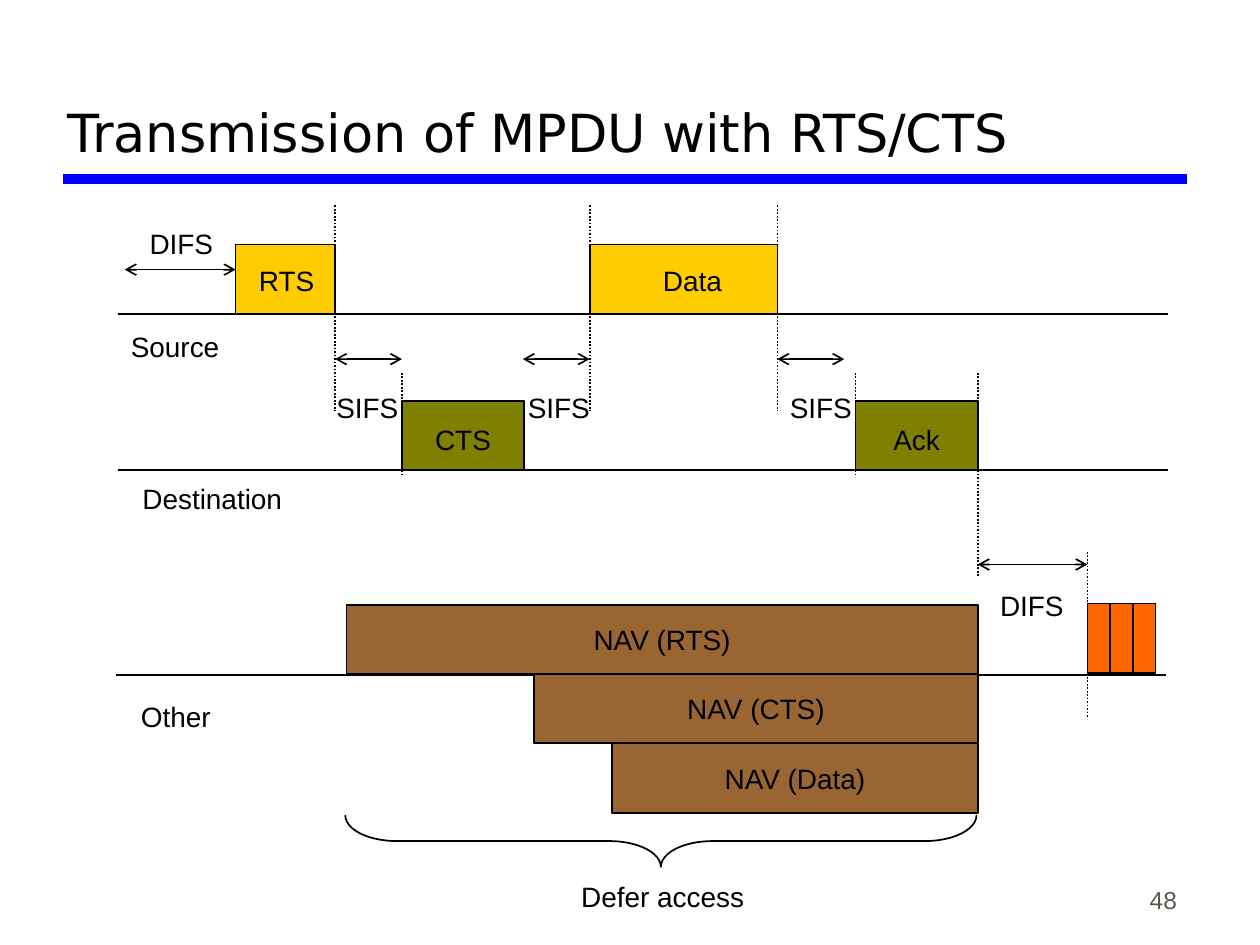
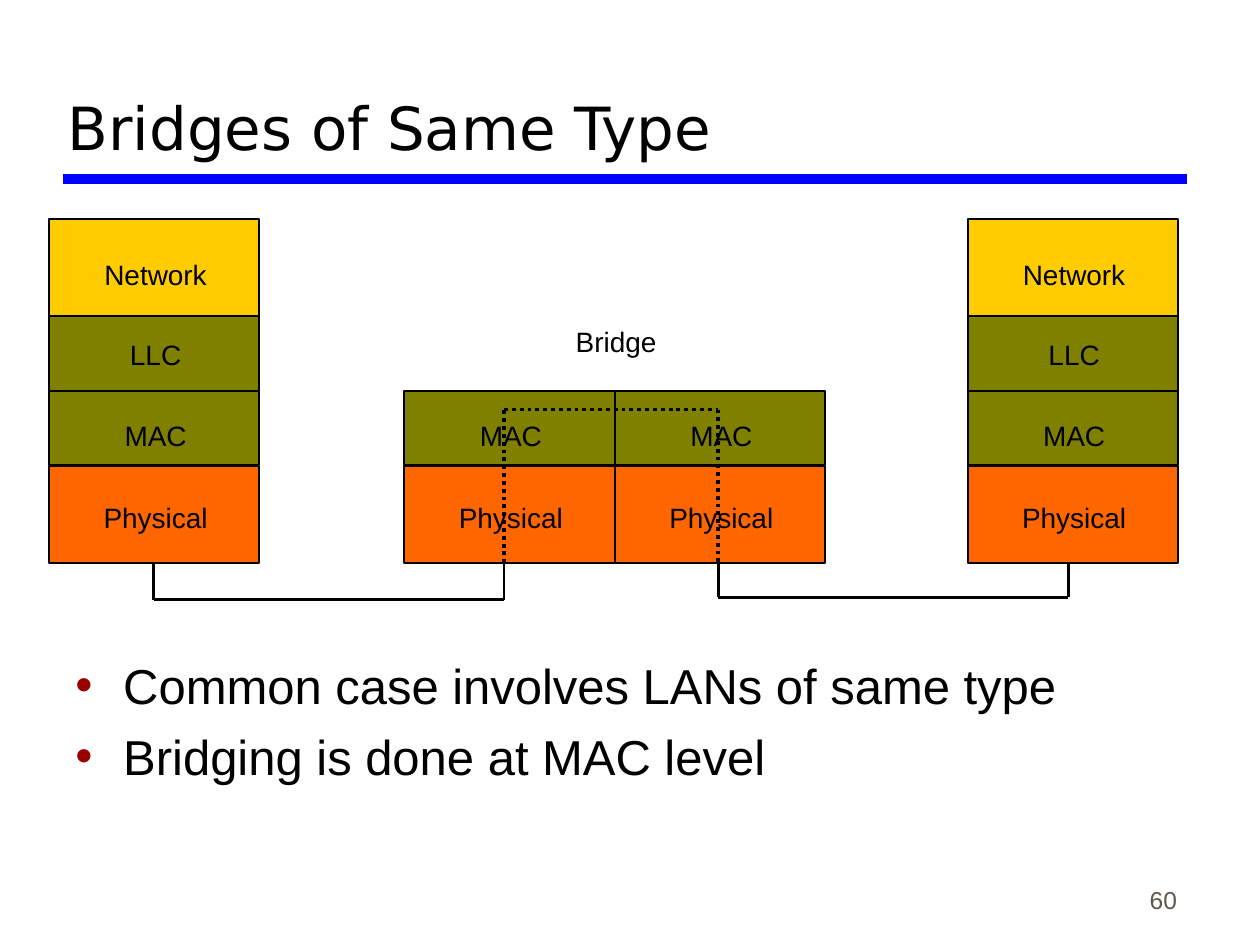
from itertools import pairwise

from lxml import etree
from pptx import Presentation
from pptx.dml.color import RGBColor
from pptx.enum.dml import MSO_LINE
from pptx.enum.shapes import MSO_CONNECTOR, MSO_SHAPE
from pptx.enum.text import MSO_ANCHOR, PP_ALIGN
from pptx.oxml.ns import qn
from pptx.util import Inches, Pt

COLORS = {
    "black": "000000",
    "rule": "0000FF",
    "number": "5E574E",
    "bullet": "990000",
    "yellow": "FFCC00",
    "olive": "808000",
    "orange": "FF6600",
    "brown": "996633",
}
COLORS = {name: RGBColor.from_string(value) for name, value in COLORS.items()}
BODY_FONT, TITLE_FONT = "Arial", "DejaVu Sans"
STRAIGHT = MSO_CONNECTOR.STRAIGHT
RECTANGLE, LEFT_BRACE = MSO_SHAPE.RECTANGLE, MSO_SHAPE.LEFT_BRACE
DOTTED = MSO_LINE.ROUND_DOT
TOP, MIDDLE, BOTTOM = MSO_ANCHOR.TOP, MSO_ANCHOR.MIDDLE, MSO_ANCHOR.BOTTOM
CENTER, RIGHT = PP_ALIGN.CENTER, PP_ALIGN.RIGHT


def add_box(slide, left, top, width, height, text="", fill=None, border=1, drop=0, shift=0):
    """Add a centred label, framed if it has a fill; drop and shift move its text."""
    place = [Inches(length) for length in (left, top, width, height)]
    if fill:
        box = slide.shapes.add_shape(RECTANGLE, *place)
        box.shadow.inherit = False
        box.fill.solid()
        box.fill.fore_color.rgb = COLORS[fill]
        box.line.color.rgb = COLORS["black"]
        box.line.width = Pt(border)
    else:
        box = slide.shapes.add_textbox(*place)
    frame = box.text_frame
    frame.margin_left, frame.margin_top = Inches(2 * shift), Inches(2 * drop)
    frame.margin_right = frame.margin_bottom = 0
    frame.word_wrap = False
    frame.vertical_anchor = MIDDLE
    if text:
        label = frame.paragraphs[0]
        label.text = text
        label.alignment = CENTER
        label.font.name, label.font.size = BODY_FONT, Pt(16)
        label.font.color.rgb = COLORS["black"]


def add_line(slide, start, end, width=1, color="black", dash=None, arrows=False):
    line = slide.shapes.add_connector(STRAIGHT, *[Inches(n) for n in (*start, *end)])
    line.line.color.rgb = COLORS[color]
    line.line.width = Pt(width)
    if dash:
        line.line.dash_style = dash
    properties = line.element.spPr
    if arrows:
        for tip in ("a:headEnd", "a:tailEnd"):
            etree.SubElement(properties.find(qn("a:ln")), qn(tip), type="arrow")
    etree.SubElement(properties, qn("a:effectLst"))


deck = Presentation()
deck.slide_width, deck.slide_height = Inches(10), Inches(7.5)

# Shared parts: rule, title and slide number
slides = []
for title, title_size, number in [
    ("Transmission of MPDU with RTS/CTS", 30, "48"),
    ("Bridges of Same Type", 34, "60"),
]:
    slide = deck.slides.add_slide(deck.slide_layouts[6])
    slides.append(slide)
    add_line(slide, (0.5, 1.42), (9.42, 1.42), 6, "rule")
    for text, place, font, size, color, alignment in [
        (title, (0.44, 0.17, 8.97, 1.17), TITLE_FONT, title_size, "black", None),
        (number, (7.36, 6.81, 2.08, 0.5), BODY_FONT, 14, "number", RIGHT),
    ]:
        frame = slide.shapes.add_textbox(*[Inches(n) for n in place]).text_frame
        frame.word_wrap = True
        frame.vertical_anchor = BOTTOM
        paragraph = frame.paragraphs[0]
        paragraph.text = text
        paragraph.alignment = alignment
        paragraph.font.name, paragraph.font.size = font, Pt(size)
        paragraph.font.color.rgb = COLORS[color]
timing, bridges = slides

# Timing diagram: one baseline per station
for left, baseline in [(0.94, 2.49), (0.94, 3.73), (0.92, 5.36)]:
    add_line(timing, (left, baseline), (left + 8.33, baseline))

FRAME_HEIGHT = 0.55
for text, left, top, width, fill, drop, shift in [
    ("RTS", 1.87, 1.94, 0.79, "yellow", 0.01, 0.01),
    ("Data", 4.68, 1.94, 1.49, "yellow", 0.01, 0.07),
    ("CTS", 3.19, 3.18, 0.97, "olive", 0.03, 0),
    ("Ack", 6.79, 3.18, 0.97, "olive", 0.03, 0),
]:
    add_box(timing, left, top, width, FRAME_HEIGHT, text, fill, drop=drop, shift=shift)

ACK_END = 7.76
for row, (text, left) in enumerate([("NAV (RTS)", 2.75), ("NAV (CTS)", 4.24), ("NAV (Data)", 4.86)]):
    add_box(timing, left, 4.8 + row * FRAME_HEIGHT, ACK_END - left, FRAME_HEIGHT, text, "brown")

SLOT_WIDTH = 0.18
for slot in range(3):
    add_box(timing, 8.63 + slot * SLOT_WIDTH, 4.79, SLOT_WIDTH, FRAME_HEIGHT, fill="orange")

for x, top, bottom in [
    (2.66, 1.63, 3.26), (4.68, 1.63, 3.26), (6.17, 1.63, 3.26),
    (3.19, 2.96, 3.77), (6.79, 2.96, 3.77), (ACK_END, 2.96, 4.58), (8.63, 4.38, 5.7),
]:
    add_line(timing, (x, top), (x, bottom), dash=DOTTED)

for start, end, y in [
    (0.99, 1.87, 2.14), (2.66, 3.19, 2.85), (4.15, 4.68, 2.85),
    (6.17, 6.7, 2.85), (ACK_END, 8.63, 4.48),
]:
    add_line(timing, (start, y), (end, y), arrows=True)

for text, left, top, width in [
    ("DIFS", 1.09, 1.75, 0.7), ("DIFS", 7.84, 4.62, 0.7),
    ("SIFS", 2.57, 3.05, 0.69), ("SIFS", 4.09, 3.05, 0.69), ("SIFS", 6.17, 3.05, 0.69),
    ("Source", 0.94, 2.56, 0.9), ("Destination", 1.03, 3.77, 1.31), ("Other", 1.02, 5.5, 0.75),
    ("Defer access", 4.34, 6.93, 1.84),
]:
    add_box(timing, left, top, width, 0.37, text)

defer_brace = timing.shapes.add_shape(LEFT_BRACE, Inches(5.04), Inches(4.17), Inches(0.41), Inches(5.01))
defer_brace.rotation = 270
defer_brace.adjustments[0] = 1
defer_brace.shadow.inherit = False
defer_brace.fill.background()
defer_brace.line.color.rgb = COLORS["black"]
defer_brace.line.width = Pt(1)

# Protocol stacks: two full hosts around the two ports of the bridge
LAYERS = [
    ("Network", 1.74, 0.77, "yellow", 0.05),
    ("LLC", 2.51, 0.59, "olive", 0.01),
    ("MAC", 3.1, 0.59, "olive", 0.06),
    ("Physical", 3.7, 0.77, "orange", 0.02),
]
for left, layers in [(0.39, LAYERS), (3.21, LAYERS[2:]), (4.88, LAYERS[2:]), (7.68, LAYERS)]:
    for text, top, height, fill, drop in layers:
        add_box(bridges, left, top, 1.67, height, text, fill, 1.13, drop, 0.01)
add_box(bridges, 4.39, 2.57, 1, 0.27, "Bridge")

STACK_BOTTOM = 4.47
for start, end, turn, width, dash in [
    (1.22, 4, 4.76, 1.5, None),
    (5.7, 8.48, 4.74, 1.5, None),
    (4, 5.7, 3.25, 2.25, DOTTED),
]:
    corners = [(start, STACK_BOTTOM), (start, turn), (end, turn), (end, STACK_BOTTOM)]
    for corner, following in pairwise(corners):
        add_line(bridges, corner, following, width, dash=dash)

points = bridges.shapes.add_textbox(Inches(0.5), Inches(5.15), Inches(8.94), Inches(1.45)).text_frame
points.word_wrap = True
points.vertical_anchor = TOP
for index, text in enumerate(["Common case involves LANs of same type", "Bridging is done at MAC level"]):
    point = points.add_paragraph() if index else points.paragraphs[0]
    point.text = text
    properties = point._p.get_or_add_pPr()
    properties.set("marL", str(Inches(0.38)))
    properties.set("indent", str(Inches(-0.38)))
    bullet_color = etree.SubElement(properties, qn("a:buClr"))
    etree.SubElement(bullet_color, qn("a:srgbClr"), val=str(COLORS["bullet"]))
    etree.SubElement(properties, qn("a:buFont"), typeface=BODY_FONT)
    etree.SubElement(properties, qn("a:buChar"), char="•")
    if index:
        point.space_before = Pt(7)
    point.font.name, point.font.size = BODY_FONT, Pt(28)
    point.font.color.rgb = COLORS["black"]

deck.save("out.pptx")
